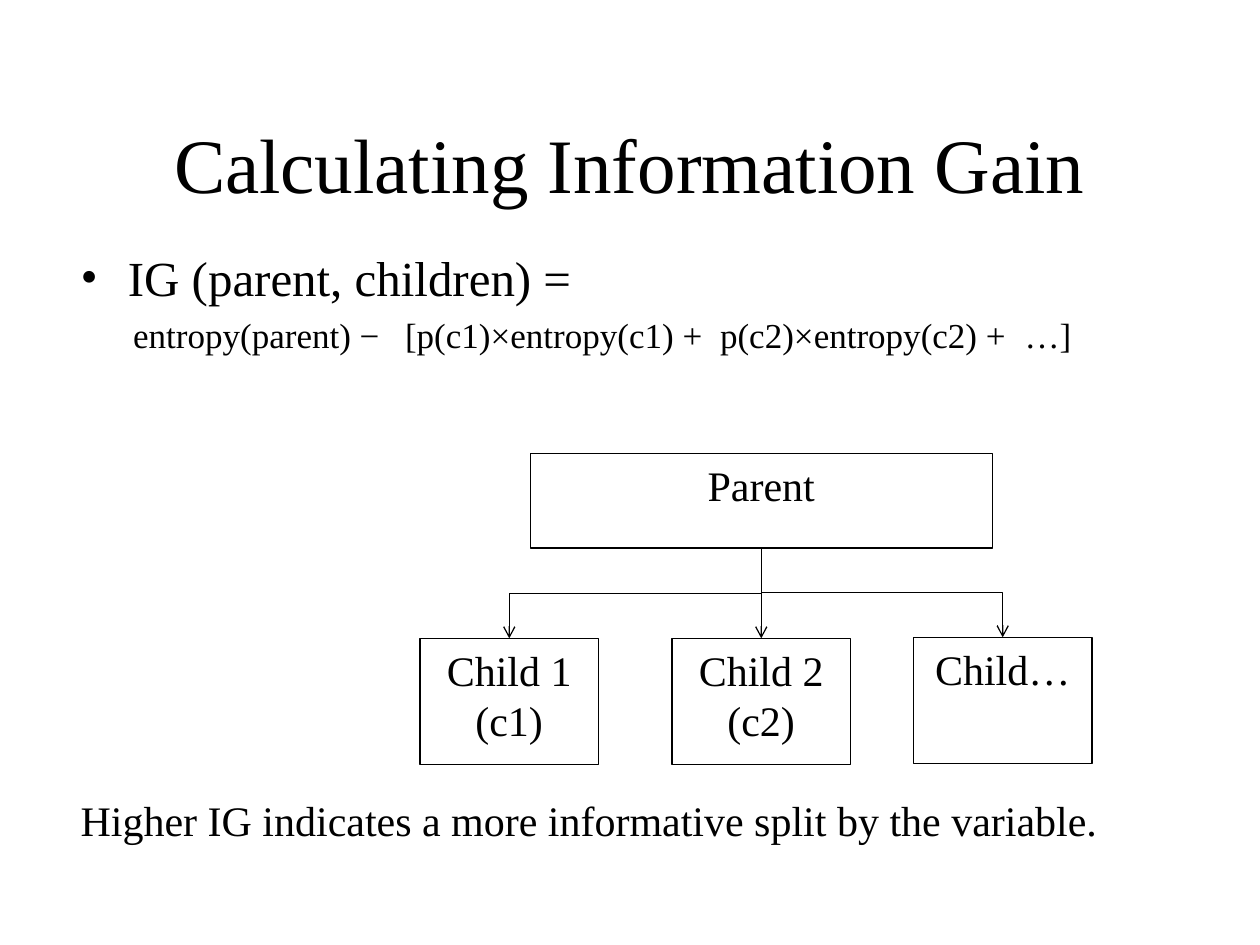
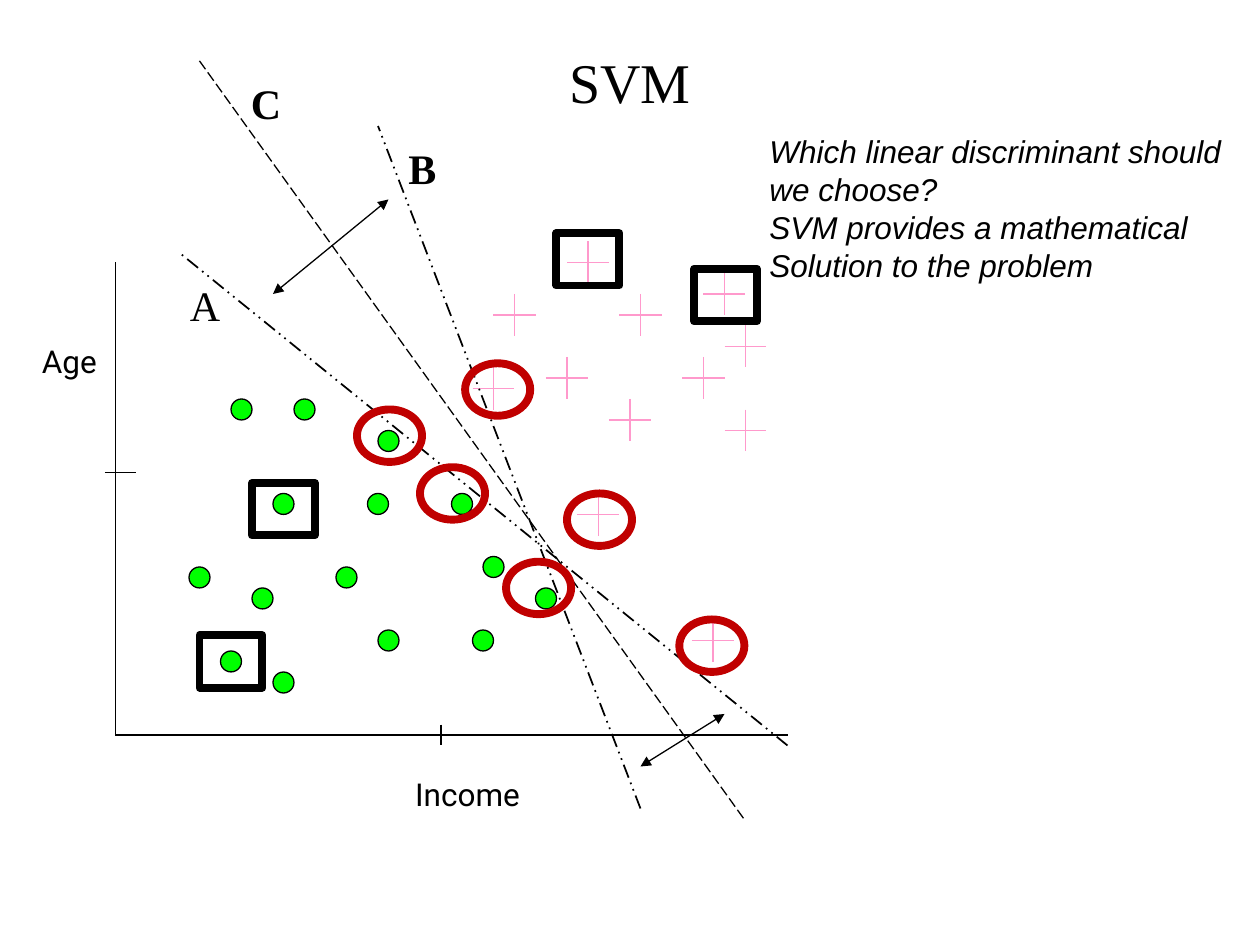
import dataclasses

import pptx
import pptx.dml.color
import pptx.enum.dml
import pptx.enum.shapes
import pptx.enum.text
import pptx.oxml
import pptx.oxml.ns
import pptx.util

PX = 7620
ALIGN = pptx.enum.text.PP_ALIGN
ANCHOR = pptx.enum.text.MSO_ANCHOR
SHAPE = pptx.enum.shapes.MSO_SHAPE
CONNECTOR = pptx.enum.shapes.MSO_CONNECTOR
DASH = pptx.enum.dml.MSO_LINE


@dataclasses.dataclass(frozen=True)
class Theme:
    ink: str = "000000"
    dot: str = "00FF00"
    cross: str = "FF99CC"
    ring: str = "C00000"
    serif: str = "Times New Roman"
    sans: str = "Arial"
    axis: str = "Roboto"
    title: int = 44
    small_title: int = 32
    bullet: int = 28
    body: int = 24
    formula: int = 20
    note: int = 18
    thin: float = 0.75
    medium: float = 1
    thick: float = 4.5


T = Theme()

CROSSES = [(690, 280), (670, 360), (540, 360), (610, 300), (710, 330), (710, 410),
           (490, 300), (600, 400), (560, 250), (470, 370), (570, 490), (679, 610)]
DOTS = [(330, 550), (370, 420), (370, 610), (360, 480), (290, 390), (250, 570),
        (270, 650), (220, 630), (270, 480), (190, 550), (440, 480), (470, 540),
        (230, 390), (520, 570), (460, 610)]
RINGS = [(340, 390), (647, 590), (443, 346), (400, 445), (482, 535), (540, 470)]
FRAMES = [(190, 605), (240, 460), (530, 222), (661, 256)]


def emu(*lengths):
    return [pptx.util.Emu(round(v * PX)) for v in lengths]


def rgb(color):
    return pptx.dml.color.RGBColor.from_string(color)


def add_xml(parent, tag, **attrs):
    el = pptx.oxml.parse_xml(f"<a:{tag} {pptx.oxml.ns.nsdecls('a')}/>")
    for name, value in attrs.items():
        el.set(name, str(value))
    parent.append(el)
    return el


def write(tf, lines, size, font=T.serif, align=ALIGN.LEFT, bold=False, italic=False):
    for i, line in enumerate(lines):
        p = tf.paragraphs[0] if i == 0 else tf.add_paragraph()
        p.alignment = align
        r = p.add_run()
        r.text = line
        r.font.name = font
        r.font.size = pptx.util.Pt(size)
        r.font.bold = bold
        r.font.italic = italic
        r.font.color.rgb = rgb(T.ink)


def add_text(s, box, lines, size, wrap=False, anchor=ANCHOR.TOP, **style):
    sp = s.shapes.add_textbox(*emu(*box))
    tf = sp.text_frame
    tf.word_wrap = wrap
    tf.vertical_anchor = anchor
    write(tf, lines, size, **style)
    return tf.paragraphs[0]


def add_title(s, box, text, size):
    add_text(s, box, [text], size, wrap=True, anchor=ANCHOR.MIDDLE, align=ALIGN.CENTER)


def add_bullet(p, indent):
    pPr = p._p.get_or_add_pPr()
    margin, = emu(indent)
    pPr.set("marL", str(margin))
    pPr.set("indent", str(-margin))
    add_xml(pPr, "buFont", typeface=T.serif)
    add_xml(pPr, "buChar", char="•")


def add_tabs(p, stops):
    tabs = add_xml(p._p.get_or_add_pPr(), "tabLst")
    for stop in emu(*stops):
        add_xml(tabs, "tab", pos=stop, algn="l")


def add_outline(s, kind, box, color=T.ink, weight=T.thin, fill=None):
    sp = s.shapes.add_shape(kind, *emu(*box))
    sp.shadow.inherit = False
    if fill:
        sp.fill.solid()
        sp.fill.fore_color.rgb = rgb(fill)
    else:
        sp.fill.background()
    sp.line.color.rgb = rgb(color)
    sp.line.width = pptx.util.Pt(weight)
    return sp


def add_node(s, box, lines):
    tf = add_outline(s, SHAPE.RECTANGLE, box).text_frame
    tf.word_wrap = True
    tf.vertical_anchor = ANCHOR.TOP
    write(tf, lines, T.body, align=ALIGN.CENTER)


def add_line(s, start, end, color=T.ink, weight=T.thin, dash=None,
             head=None, tail=None, kind=CONNECTOR.STRAIGHT):
    cn = s.shapes.add_connector(kind, *emu(*start, *end))
    cn.line.color.rgb = rgb(color)
    cn.line.width = pptx.util.Pt(weight)
    if dash:
        cn.line.dash_style = dash
    ln = cn._element.spPr.find(pptx.oxml.ns.qn("a:ln"))
    if head:
        add_xml(ln, "headEnd", type=head)
    if tail:
        add_xml(ln, "tailEnd", type=tail)
    add_xml(cn._element.spPr, "effectLst")
    return cn


def add_branch(s, start, end):
    (x1, y1), (x2, y2) = start, end
    drop, reach = y2 - y1, abs(x2 - x1)
    cx, cy = (x1 + x2) / 2, (y1 + y2) / 2
    near, far = cx - drop / 2, cx + drop / 2
    to_right = x2 > x1
    if to_right:
        near, far = far, near
    cn = add_line(s, (near, cy - reach / 2), (far, cy + reach / 2),
                  tail="arrow", kind=CONNECTOR.ELBOW)
    xfrm = cn._element.spPr.find(pptx.oxml.ns.qn("a:xfrm"))
    xfrm.set("rot", str((270 if to_right else 90) * 60000))


def add_cross(s, x, y, arm=20):
    add_line(s, (x - arm, y), (x + arm, y), T.cross)
    add_line(s, (x, y - arm), (x, y + arm), T.cross)


def information_gain(s):
    add_title(s, (90, 80, 1020, 150), "Calculating Information Gain", T.title)
    add_bullet(add_text(s, (65, 230, 1080, 60), ["IG (parent, children) ="],
                        T.bullet, wrap=True), 45)
    formula = "entropy(parent) −\t[p(c1)×entropy(c1) +\tp(c2)×entropy(c2) +\t…]"
    add_tabs(add_text(s, (115, 293, 1030, 50), [formula], T.formula, wrap=True),
             (259, 559, 849))
    add_text(s, (65, 751, 1080, 60),
             ["Higher IG indicates a more informative split by the variable."],
             T.body, wrap=True)

    add_node(s, (505, 432, 440, 90), ["Parent"])
    children = [(400, 608, ["Child 1", "(c1)"]),
                (640, 608, ["Child 2", "(c2)"]),
                (870, 607, ["Child…"])]
    for x, y, lines in children:
        add_node(s, (x, y, 170, 120), lines)
        add_branch(s, (725, 522), (x + 85, y))


def svm(s):
    add_title(s, (60, 36, 1080, 83), "SVM", T.small_title)
    add_line(s, (110, 250), (110, 700))
    add_line(s, (110, 700), (750, 700))
    add_line(s, (420, 690), (420, 710))
    add_line(s, (100, 450), (130, 450))
    add_text(s, (377, 732, 130, 48), ["Income"], T.note, font=T.axis, align=ALIGN.RIGHT)
    add_text(s, (26, 320, 78, 48), ["Age"], T.note, font=T.axis, align=ALIGN.RIGHT)

    for x, y in CROSSES:
        add_cross(s, x, y)
    for x, y in DOTS:
        add_outline(s, SHAPE.OVAL, (x - 10, y - 10, 20, 20), fill=T.dot)

    for start, end in [((750, 710), (170, 240)), ((610, 770), (360, 120))]:
        add_line(s, start, end, weight=T.medium, dash=DASH.DASH_DOT_DOT)
    for start, end in [((260, 280), (370, 190)), ((610, 730), (690, 680))]:
        add_line(s, start, end, head="triangle", tail="triangle")
    add_line(s, (190, 58), (710, 782), dash=DASH.LONG_DASH)

    add_text(s, (721, 120, 454, 156),
             ["Which linear discriminant should", "we choose?",
              "SVM provides a mathematical", "Solution to the problem"],
             T.note, font=T.sans, italic=True)
    for x, y, name, bold in [(169, 260, "A", False), (377, 130, "B", True),
                             (227, 68, "C", True)]:
        add_text(s, (x, y, 52, 60), [name], T.body, bold=bold)

    for x, y in RINGS:
        add_outline(s, SHAPE.OVAL, (x, y, 62, 50), T.ring, T.thick)
    for x, y in FRAMES:
        add_outline(s, SHAPE.RECTANGLE, (x, y, 60, 50), weight=T.thick)


def main():
    prs = pptx.Presentation()
    prs.slide_width, prs.slide_height = emu(1200, 900)
    for build in (information_gain, svm):
        build(prs.slides.add_slide(prs.slide_layouts[6]))
    prs.save("out.pptx")


if __name__ == "__main__":
    main()
